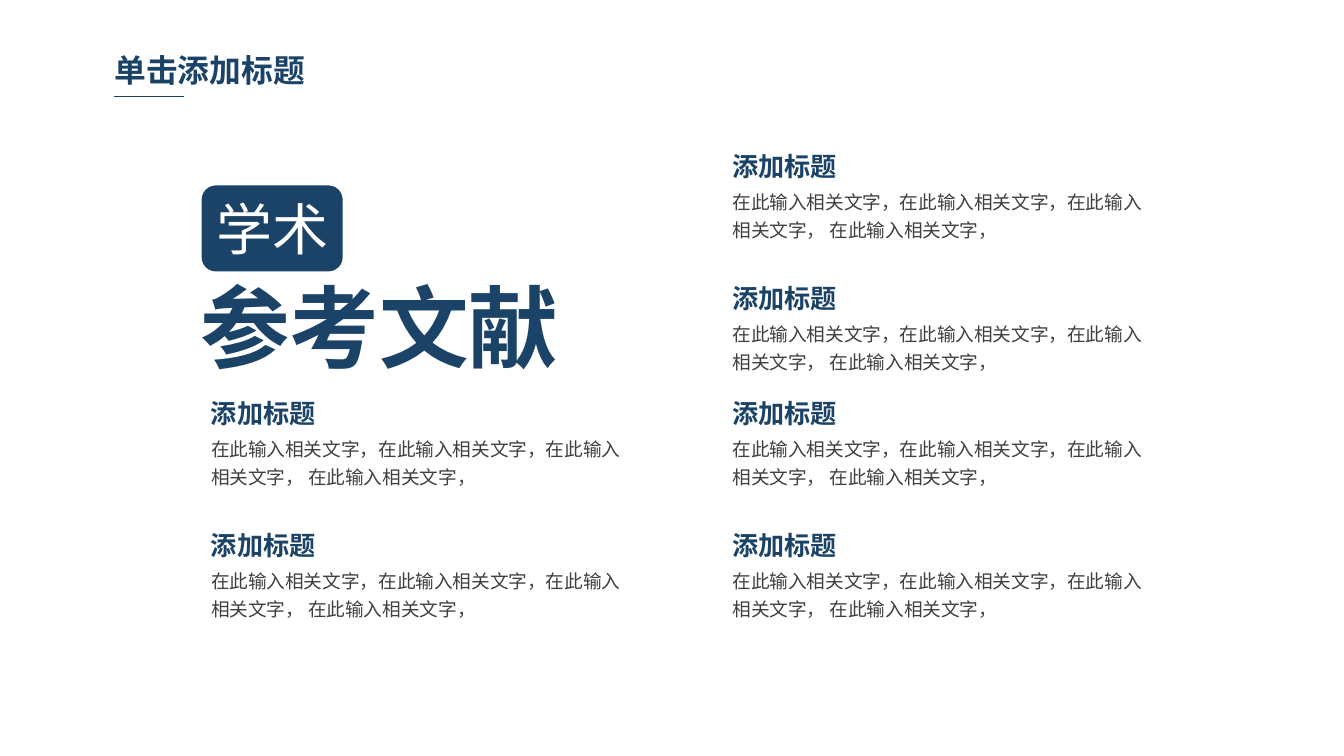
"""Build a slide of reference notes around a large heading."""
from typing import NamedTuple

from lxml import etree
from pptx import Presentation
from pptx.dml.color import RGBColor
from pptx.enum.shapes import MSO_CONNECTOR, MSO_SHAPE
from pptx.enum.text import MSO_ANCHOR, MSO_AUTO_SIZE, PP_ALIGN
from pptx.oxml.ns import qn
from pptx.util import Inches, Pt

LINE = MSO_CONNECTOR.STRAIGHT
ROUND = MSO_SHAPE.ROUNDED_RECTANGLE
TOP, MIDDLE = MSO_ANCHOR.TOP, MSO_ANCHOR.MIDDLE
LEFT, CENTER = PP_ALIGN.LEFT, PP_ALIGN.CENTER
FIXED = MSO_AUTO_SIZE.NONE

NAVY = RGBColor(0x1B, 0x43, 0x67)
GRAY = RGBColor(0x40, 0x40, 0x40)
WHITE = RGBColor(0xFF, 0xFF, 0xFF)
FONT = "Noto Sans CJK SC"
WIDTH = Inches(10)
HEIGHT = WIDTH * 9 // 16
CELL = WIDTH // 1000

HEAD = "添加标题"
BODY = "在此输入相关文字，在此输入相关文字，在此输入相关文字， 在此输入相关文字，"


class Area(NamedTuple):
    """A place on the slide, in grid cells."""
    col: int
    row: int
    wide: int
    high: int

    def spots(self) -> tuple:
        """Give left, top, width and height as lengths."""
        return tuple(CELL * size for size in self)


class Note(NamedTuple):
    """The top left cell of a heading with its text."""
    col: int
    row: int


NOTES = [Note(150, 292), Note(150, 390)]
NOTES += [Note(538, top + step) for top in (108, 292) for step in (0, 98)]


def write(shape, text: str, *, size: float, color: RGBColor = NAVY,
          bold: bool = False, wrap: bool = True, align=LEFT,
          anchor=MIDDLE, lead: float | None = None) -> None:
    """Put formatted text in a shape."""
    frame = shape.text_frame
    frame.auto_size = FIXED
    frame.word_wrap = wrap
    frame.vertical_anchor = anchor
    frame.margin_left = frame.margin_right = Inches(0.07)
    frame.margin_top = frame.margin_bottom = Inches(0.04)
    para = frame.paragraphs[0]
    para.alignment = align
    para.space_before = Pt(0)
    para.line_spacing = Pt(lead) if lead else 1.0
    run = para.add_run()
    run.text = text
    font = run.font
    font.name, font.size, font.bold = FONT, Pt(size), bold
    font.color.rgb = color
    props = run._r.get_or_add_rPr()
    etree.SubElement(props, qn("a:ea")).set("typeface", FONT)


def label(slide, area: Area, text: str, **style) -> None:
    """Add a text box."""
    write(slide.shapes.add_textbox(*area.spots()), text, **style)


def badge(slide, area: Area, text: str) -> None:
    """Add a filled round box with white text."""
    shape = slide.shapes.add_shape(ROUND, *area.spots())
    shape.shadow.inherit = False
    shape.fill.solid()
    shape.fill.fore_color.rgb = NAVY
    shape.line.fill.background()
    write(shape, text, size=30, color=WHITE, wrap=False, align=CENTER)


def rule(slide, area: Area) -> None:
    """Add a thin line under the title."""
    left, top, wide, high = area.spots()
    line = slide.shapes.add_connector(LINE, left, top, left + wide, top + high)
    line.line.color.rgb = NAVY
    line.line.width = Pt(0.75)
    etree.SubElement(line._element.spPr, qn("a:effectLst"))


def entry(slide, note: Note) -> None:
    """Add a heading and the text below it."""
    label(slide, Area(note.col, note.row, 140, 31), HEAD, size=14, bold=True)
    label(slide, Area(note.col, note.row + 26, 329, 50), BODY,
          size=10, color=GRAY, anchor=TOP, lead=15)


def main() -> None:
    """Build and save the slide."""
    deck = Presentation()
    deck.slide_width, deck.slide_height = WIDTH, HEIGHT
    slide = deck.slides.add_slide(deck.slide_layouts[5])
    title = slide.shapes.title
    title.left, title.top, title.width, title.height = Area(
        78, 34, 247, 36).spots()
    write(title, "单击添加标题", size=17, bold=True)
    rule(slide, Area(85, 72, 52, 0))
    badge(slide, Area(150, 138, 105, 64), "学术")
    label(slide, Area(142, 198, 284, 88), "参考文献",
          size=48, bold=True, wrap=False)
    for note in NOTES:
        entry(slide, note)
    deck.save("out.pptx")


if __name__ == "__main__":
    main()
